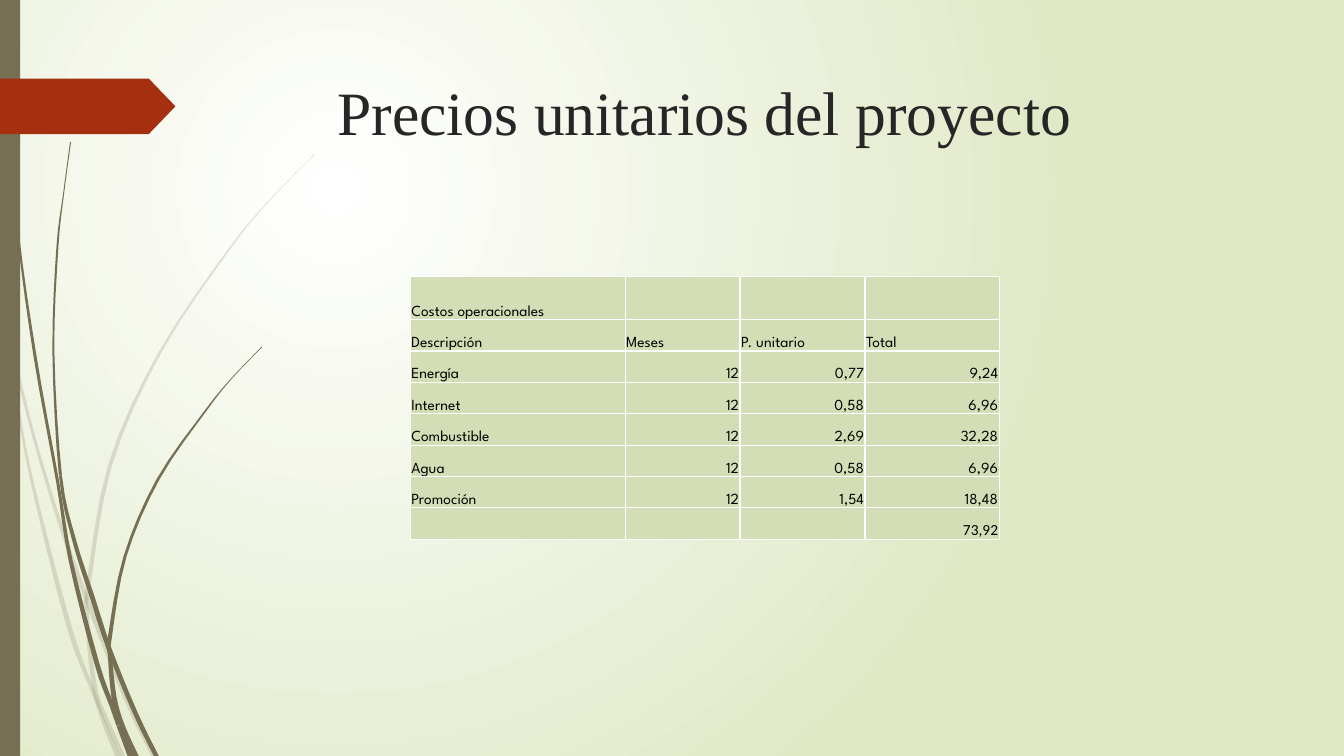
from lxml.etree import SubElement
from pptx import Presentation
from pptx.dml.color import RGBColor
from pptx.enum.shapes import MSO_SHAPE
from pptx.enum.text import MSO_ANCHOR, PP_ALIGN
from pptx.oxml import parse_xml
from pptx.oxml.ns import nsdecls, qn
from pptx.util import Inches, Pt

OLIVE = RGBColor(0x76, 0x6F, 0x54)
RUST = RGBColor(0xA5, 0x30, 0x10)
INK = RGBColor(0x26, 0x26, 0x26)
BLACK = RGBColor(0, 0, 0)
WHITE = RGBColor(0xFF, 0xFF, 0xFF)
CELL_GREEN = RGBColor(0xD4, 0xDE, 0xB6)
PALE_GREEN = RGBColor(0xDF, 0xE8, 0xC4)

# Each blade has (centre x, y, width) points from tip to root, and the joints between its sections.
FADED_BLADES = [
    ([(0, 2.9, .02), (.12, 3.47, .03), (.34, 4.35, .03), (.6, 5.21, .04),
      (.87, 5.97, .05), (1.25, 6.93, .05), (1.53, 7.51, .05)], [1, 4]),
    ([(.11, 3.5, .01), (.16, 3.9, .02), (.3, 4.7, .03), (.68, 6.2, .05),
      (.93, 6.88, .04), (1.02, 7.14, .04), (1.17, 7.51, .05)], [5]),
    ([(3.12, 1.53, .01), (2.68, 1.98, .01), (2.29, 2.45, .02), (1.59, 3.49, .03),
      (1.09, 4.62, .04), (.87, 5.86, .04), (.86, 6.05, .04), (.89, 6.46, .04),
      (.95, 6.87, .05), (1.04, 7.11, .05), (1.22, 7.51, .05)], [5, 6, 9]),
]
SOLID_BLADES = [
    ([(.04, 0, .01), (.08, 1.1, .02), (.18, 2.33, .02), (.35, 3.55, .03),
      (.57, 4.77, .03), (.7, 5.56, .04), (.96, 6.58, .05), (1.11, 7, .05),
      (1.18, 7.2, .05), (1.3, 7.5, .07)], [4, 8]),
    ([(.7, 1.41, .01), (.63, 1.93, .01), (.57, 2.45, .02), (.53, 3.49, .02),
      (.6, 4.72, .03), (.73, 5.34, .04), (.91, 5.91, .05), (1.08, 6.43, .05),
      (1.34, 7.07, .05), (1.55, 7.5, .05)], [4, 7]),
    ([(2.6, 3.44, .01), (2.31, 3.74, .01), (2.05, 4.06, .02), (1.57, 4.75, .03),
      (1.24, 5.52, .03), (1.09, 6.32, .04), (1.09, 6.5, .04), (1.13, 6.91, .05),
      (1.21, 7.19, .05), (1.35, 7.5, .05)], [5, 6, 8]),
]
COSTS = [
    ["Costos operacionales", "", "", ""],
    ["Descripción", "Meses", "P. unitario", "Total"],
    ["Energía", "12", "0,77", "9,24"],
    ["Internet", "12", "0,58", "6,96"],
    ["Combustible", "12", "2,69", "32,28"],
    ["Agua", "12", "0,58", "6,96"],
    ["Promoción", "12", "1,54", "18,48"],
    ["", "", "", "73,92"],
]
COLUMN_WIDTHS = [2.13, 1.14, 1.24, 1.33]
CURVE_STEPS = 4


def paint_background(slide):
    """Fill the background with a radial glow from white to pale green."""
    fill = slide.background.fill
    fill.gradient()
    for stop, colour in zip(fill.gradient_stops, (WHITE, PALE_GREEN)):
        stop.color.rgb = colour
    glow = slide.background._cSld.find(".//" + qn("a:gradFill"))
    glow.replace(glow.find(qn("a:lin")), parse_xml(
        f'<a:path {nsdecls("a")} path="circle"><a:fillToRect l="50000" t="50000"'
        ' r="100000" b="100000"/></a:path>'))


def paint(shape, colour):
    """Give a shape a flat fill without line or shadow."""
    shape.shadow.inherit = False
    shape.fill.solid()
    shape.fill.fore_color.rgb = colour
    shape.line.fill.background()


def smooth_spine(spine):
    """Return points on a Catmull-Rom curve through the spine."""
    padded = [spine[0], *spine, spine[-1]]
    curve = []
    for a, b, c, d in zip(padded, padded[1:], padded[2:], padded[3:]):
        for step in range(CURVE_STEPS):
            t = step / CURVE_STEPS
            curve.append([
                (2 * q + (r - p) * t + (2 * p - 5 * q + 4 * r - s) * t**2
                 + (3 * q - p - 3 * r + s) * t**3) / 2
                for p, q, r, s in zip(a, b, c, d)])
    return curve + [spine[-1]]


def add_section(slide, curve, alpha):
    """Draw one tapered section of a blade of grass."""
    outline = [(Inches(x - width / 2), Inches(y)) for x, y, width in curve]
    outline += [(Inches(x + width / 2), Inches(y)) for x, y, width in reversed(curve)]
    builder = slide.shapes.build_freeform(*outline[0])
    builder.add_line_segments(outline[1:], close=True)
    section = builder.convert_to_shape()
    paint(section, OLIVE)
    if alpha < 100:
        tint = section.fill._xPr.find(".//" + qn("a:srgbClr"))
        SubElement(tint, qn("a:alpha"), val=str(alpha * 1000))


def add_blades(slide, blades, alpha=100):
    """Draw a tuft of blades, each cut into sections at its joints."""
    for spine, joints in blades:
        curve = smooth_spine(spine)
        cuts = [0, *joints, len(spine) - 1]
        for first, last in zip(cuts, cuts[1:]):
            add_section(slide, curve[first * CURVE_STEPS:last * CURVE_STEPS + 1], alpha)


def add_decoration(slide, height):
    """Draw the grass, the side band and the arrow tab at the left edge."""
    add_blades(slide, FADED_BLADES, alpha=20)
    add_blades(slide, SOLID_BLADES)
    band = slide.shapes.add_shape(MSO_SHAPE.RECTANGLE, 0, 0, Inches(0.2), height)
    paint(band, OLIVE)
    tab = slide.shapes.add_shape(
        MSO_SHAPE.PENTAGON, 0, Inches(0.78), Inches(1.74), Inches(0.55))
    tab.adjustments[0] = 0.48
    paint(tab, RUST)


def set_title(slide, left, top, width, height):
    """Place and format the slide title."""
    title = slide.shapes.title
    title.left, title.top, title.width, title.height = left, top, width, height
    frame = title.text_frame
    frame.text = "Precios unitarios del proyecto"
    frame.word_wrap = True
    frame.vertical_anchor = MSO_ANCHOR.TOP
    heading = frame.paragraphs[0]
    heading.alignment = PP_ALIGN.CENTER
    heading.font.name = "Times New Roman"
    heading.font.size = Pt(44)
    heading.font.color.rgb = INK


def format_cell(cell, text, numeric, font_name):
    """Write one cost cell with white borders and a green fill."""
    cell.text = text
    cell.vertical_anchor = MSO_ANCHOR.BOTTOM
    cell.margin_left = cell.margin_right = cell.margin_top = Inches(0.01)
    cell.margin_bottom = 0
    entry = cell.text_frame.paragraphs[0]
    entry.alignment = PP_ALIGN.RIGHT if numeric else PP_ALIGN.LEFT
    entry.font.name = font_name
    entry.font.size = Pt(11)
    entry.font.color.rgb = BLACK
    properties = cell._tc.get_or_add_tcPr()
    for side in "LRTB":
        border = SubElement(properties, qn(f"a:ln{side}"), w=str(Pt(1)))
        SubElement(SubElement(border, qn("a:solidFill")), qn("a:srgbClr"), val=str(WHITE))
    cell.fill.solid()
    cell.fill.fore_color.rgb = CELL_GREEN


def add_cost_table(slide, left, top, width, height):
    """Place the table of operating costs."""
    table = slide.shapes.add_table(
        len(COSTS), len(COLUMN_WIDTHS), left, top, width, height).table
    for column, column_width in zip(table.columns, COLUMN_WIDTHS):
        column.width = Inches(column_width)
    heading_height = Inches(0.43)
    row_height = (height - heading_height) // (len(COSTS) - 1)
    for r, costs in enumerate(COSTS):
        table.rows[r].height = row_height if r else heading_height
        font_name = "Calibri" if r == len(COSTS) - 1 else "League Spartan"
        for c, text in enumerate(costs):
            format_cell(table.cell(r, c), text, r > 1 and c > 0, font_name)


def main():
    """Build and save the unit price slide."""
    deck = Presentation()
    deck.slide_width, deck.slide_height = Inches(13.33), Inches(7.5)
    slide = deck.slides.add_slide(deck.slide_layouts[5])
    paint_background(slide)
    add_decoration(slide, deck.slide_height)
    set_title(slide, Inches(1.4), Inches(0.68), Inches(11.18), Inches(1.4))
    add_cost_table(slide, Inches(4.07), Inches(2.74), Inches(5.84), Inches(2.61))
    deck.save("out.pptx")


if __name__ == "__main__":
    main()
